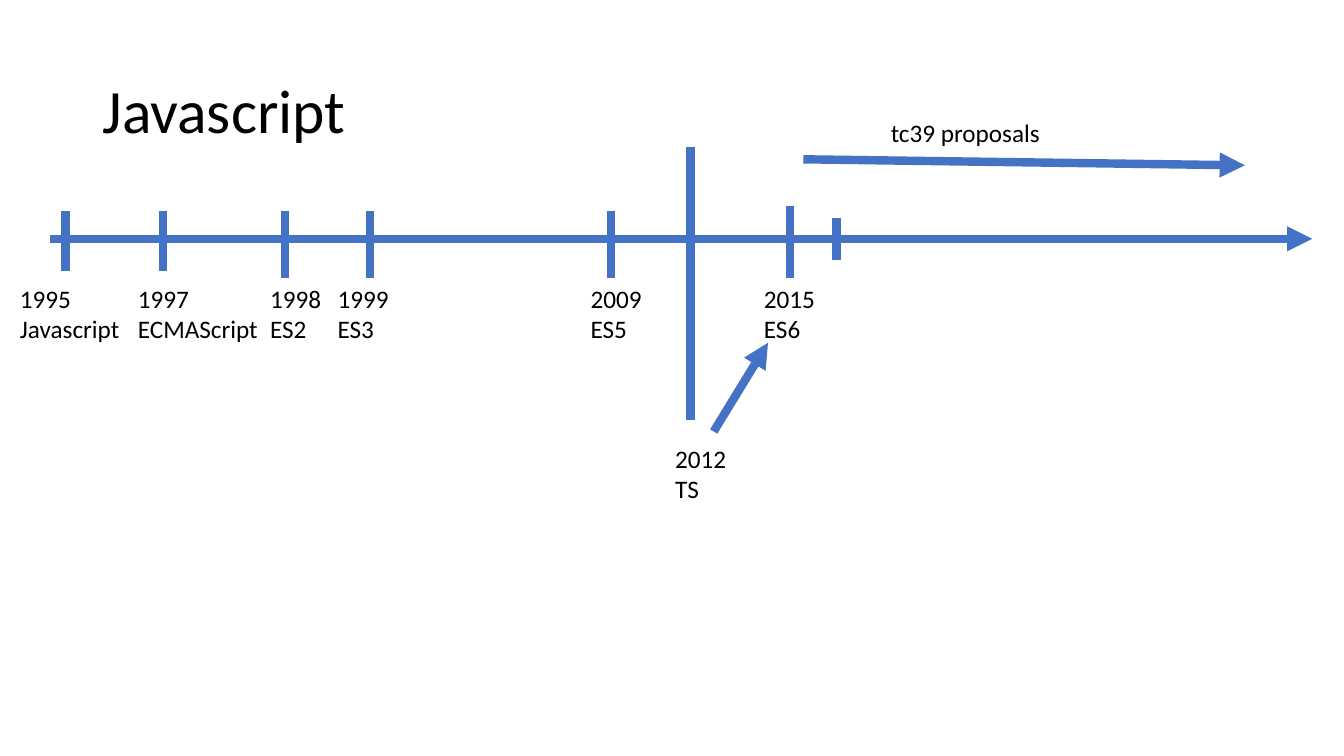
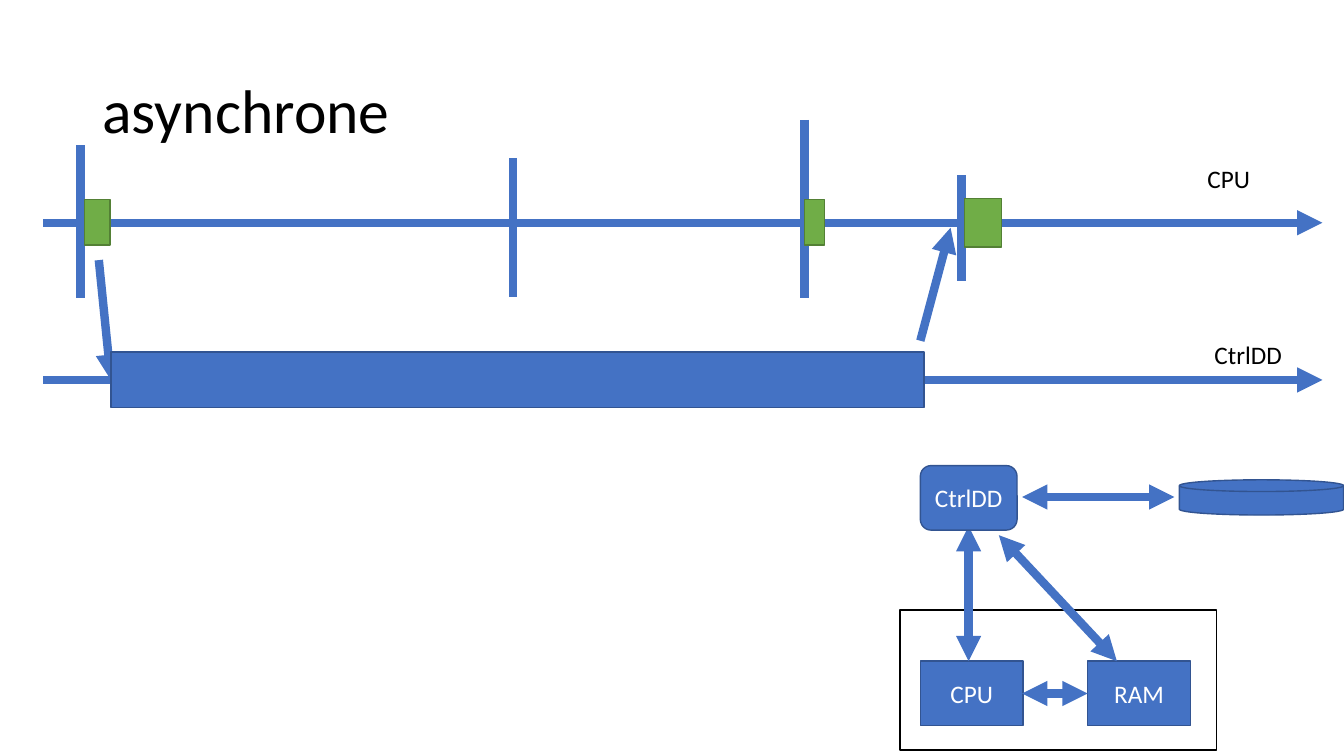
from dataclasses import dataclass
from pptx import Presentation
from pptx.dml.color import RGBColor
from pptx.enum.shapes import MSO_CONNECTOR, MSO_SHAPE
from pptx.enum.text import MSO_ANCHOR, MSO_AUTO_SIZE, PP_ALIGN
from pptx.oxml.ns import qn
from pptx.util import Pt
from lxml.etree import SubElement


@dataclass(frozen=True)
class Theme:
    font: str = "Calibri"
    title_size: int = 44
    body_size: int = 18
    stroke: int = 6
    outline: int = 1
    black: RGBColor = RGBColor(0x00, 0x00, 0x00)
    white: RGBColor = RGBColor(0xFF, 0xFF, 0xFF)
    blue: RGBColor = RGBColor(0x44, 0x72, 0xC4)
    blue_edge: RGBColor = RGBColor(0x32, 0x54, 0x91)
    green: RGBColor = RGBColor(0x70, 0xAD, 0x47)
    green_edge: RGBColor = RGBColor(0x53, 0x80, 0x35)


def apply(obj, formats):
    for name, value in formats.items():
        setattr(obj, name, value)


class Deck:
    def __init__(self, theme):
        self.theme = theme
        self.prs = Presentation()
        apply(self.prs, {"slide_width": Pt(960), "slide_height": Pt(540)})
        self.s = None

    def set_text(self, tf, text, size, color, align=PP_ALIGN.LEFT, spacing=1.0):
        tf.text = text
        for p in tf.paragraphs:
            apply(p, {"alignment": align, "line_spacing": spacing})
            for r in p.runs:
                apply(r.font, {"name": self.theme.font, "size": Pt(size)})
                r.font.color.rgb = color

    def slide(self, title):
        self.s = self.prs.slides.add_slide(self.prs.slide_layouts[5])
        sp = self.s.shapes.title
        apply(sp, {"left": Pt(66), "top": Pt(28.8),
                   "width": Pt(828), "height": Pt(104.4)})
        tf = sp.text_frame
        apply(tf, {"vertical_anchor": MSO_ANCHOR.MIDDLE,
                   "auto_size": MSO_AUTO_SIZE.NONE})
        self.set_text(tf, title, self.theme.title_size, self.theme.black,
                      spacing=0.9)

    def label(self, text, x, y, w):
        h = 51.1 if "\n" in text else 28.8
        tf = self.s.shapes.add_textbox(Pt(x), Pt(y), Pt(w), Pt(h)).text_frame
        apply(tf, {"word_wrap": False,
                   "auto_size": MSO_AUTO_SIZE.SHAPE_TO_FIT_TEXT})
        self.set_text(tf, text, self.theme.body_size, self.theme.black)

    def line(self, x1, y1, x2, y2, ends=()):
        c = self.s.shapes.add_connector(
            MSO_CONNECTOR.STRAIGHT, Pt(x1), Pt(y1), Pt(x2), Pt(y2))
        c.line.color.rgb = self.theme.blue
        c.line.width = Pt(self.theme.stroke)
        props = c._element.spPr
        for end in ends:
            SubElement(props.find(qn("a:ln")), qn(f"a:{end}"), type="triangle")
        SubElement(props, qn("a:effectLst"))

    def tick(self, x, top, bottom):
        self.line(x, top, x, bottom)

    def arrow(self, x1, y1, x2, y2):
        self.line(x1, y1, x2, y2, ["tailEnd"])

    def link(self, x1, y1, x2, y2):
        self.line(x1, y1, x2, y2, ["headEnd", "tailEnd"])

    def box(self, x, y, w, h, fill, edge, text="", kind=MSO_SHAPE.RECTANGLE):
        sp = self.s.shapes.add_shape(kind, Pt(x), Pt(y), Pt(w), Pt(h))
        sp.shadow.inherit = False
        sp.fill.solid()
        sp.fill.fore_color.rgb = fill
        sp.line.color.rgb = edge
        sp.line.width = Pt(self.theme.outline)
        if text:
            sp.text_frame.vertical_anchor = MSO_ANCHOR.MIDDLE
            self.set_text(sp.text_frame, text, self.theme.body_size,
                          self.theme.white, PP_ALIGN.CENTER)

    def blue_box(self, x, y, w, h, text="", kind=MSO_SHAPE.RECTANGLE):
        self.box(x, y, w, h, self.theme.blue, self.theme.blue_edge, text, kind)

    def green_box(self, x, y, w, h):
        self.box(x, y, w, h, self.theme.green, self.theme.green_edge)


theme = Theme()
deck = Deck(theme)

# Slide 1: language timeline
deck.slide("Javascript")
deck.arrow(36, 170.6, 937.4, 170.6)

# Version ticks: x, top, bottom
for tick in [(46.8, 150.5, 193.7), (116.6, 150.5, 193.7),
             (203.8, 150.5, 198.7), (264.2, 150.5, 198.7),
             (436.3, 150.5, 198.7), (564.5, 146.9, 198.7),
             (597.6, 155.5, 185.8), (493.2, 105.1, 300.2)]:
    deck.tick(*tick)

# Version labels: text, left, width
for text, x, w in [("1995\nJavascript", 7.2, 86.4),
                   ("1997\nECMAScript", 91.4, 100.8),
                   ("1998\nES2", 185.8, 51.1), ("1999\nES3", 234, 51.1),
                   ("2009\nES5", 414.7, 51.1), ("2015\nES6", 538.6, 51.1)]:
    deck.label(text, x, 198.7, w)

# Proposals and the TS branch
deck.arrow(573.8, 113.8, 889.2, 118.1)
deck.label("tc39 proposals", 629.3, 80.6, 122.4)
deck.label("2012\nTS", 475.2, 313.2, 51.1)
deck.arrow(509.8, 308.2, 548.6, 244.8)

# Slide 2: asynchronous work
deck.slide("asynchrone")

# Time axes with their names
for name, axis_y, x, y, w in [("CPU", 159.1, 855.4, 113, 45.4),
                              ("CtrlDD", 271.4, 860.4, 239, 63.4)]:
    deck.arrow(31, axis_y, 944.6, axis_y)
    deck.label(name, x, y, w)

# Events and short CPU tasks
for tick in [(57.6, 103.7, 213.1), (366.5, 113, 212.4),
             (574.6, 85.7, 213.1), (686.9, 125.3, 200.9)]:
    deck.tick(*tick)
for task in [(60.5, 142.6, 18, 32.4), (574.6, 142.6, 14.4, 32.4),
             (689, 141.8, 26.6, 34.6)]:
    deck.green_box(*task)

# Long controller task, its request and its reply
deck.arrow(70.6, 185.8, 79.2, 271.4)
deck.blue_box(79.2, 251.3, 581, 39.6)
deck.arrow(657.4, 243.4, 679, 162.7)

# Hardware diagram
deck.box(643, 435.6, 226.1, 100.1, theme.white, theme.black)
for name, x in [("CPU", 657.4), ("RAM", 776.9)]:
    deck.blue_box(x, 472.3, 73.4, 46.1, name)
deck.link(730.1, 495.4, 776.9, 495.4)
deck.link(691.9, 472.3, 691.9, 375.8)
deck.blue_box(657.4, 332.6, 69.1, 46.1, "CtrlDD",
              MSO_SHAPE.ROUNDED_RECTANGLE)
deck.link(730.1, 355, 838.8, 355)
deck.blue_box(842.4, 342.7, 117.4, 25.2,
              kind=MSO_SHAPE.FLOWCHART_MAGNETIC_DISK)
deck.link(713.5, 382.3, 797.8, 472.3)

deck.prs.save("out.pptx")
